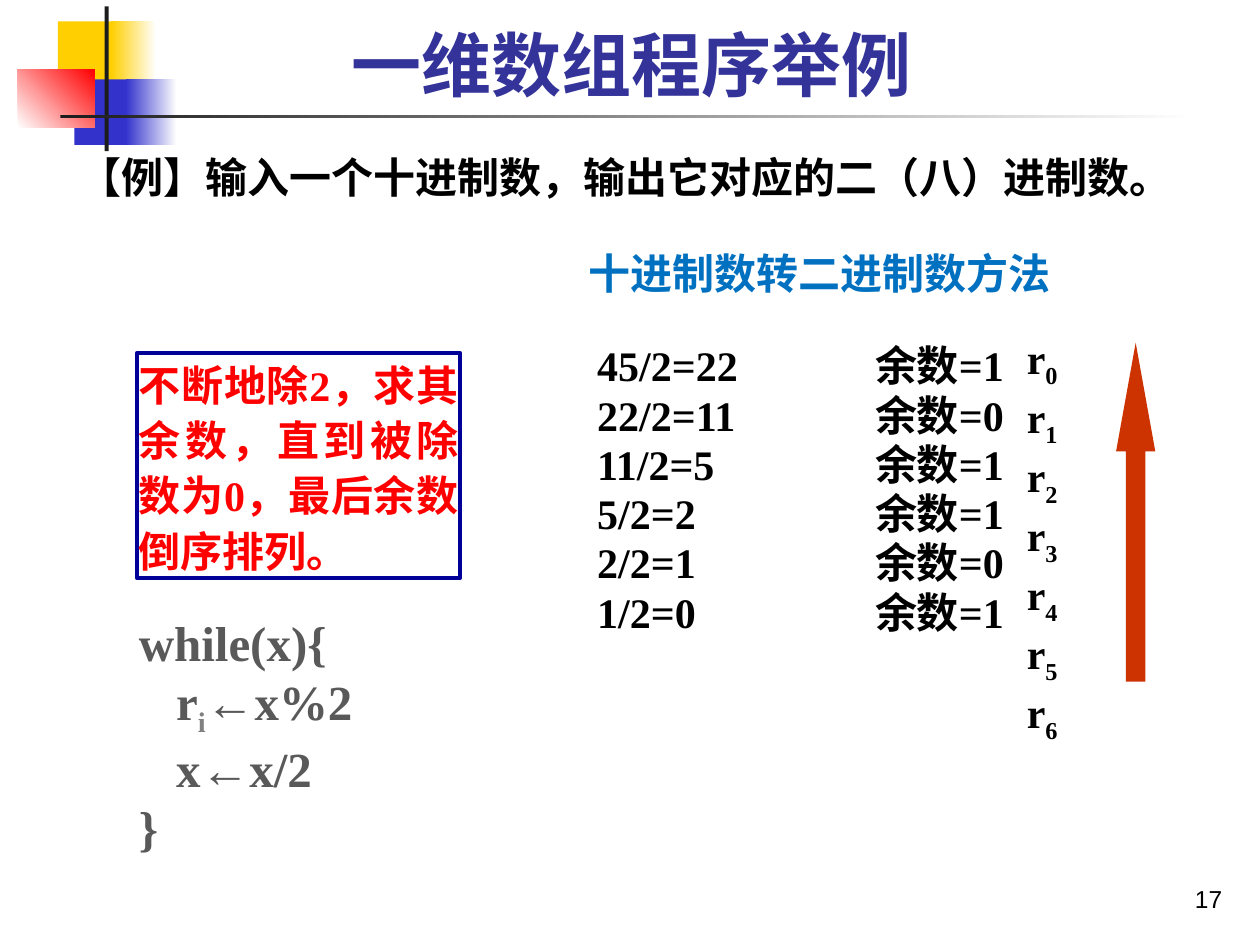
from pptx import Presentation
from pptx.dml.color import RGBColor
from pptx.enum.shapes import MSO_SHAPE as Kind
from pptx.enum.text import MSO_ANCHOR as Anchor, PP_ALIGN as Align
from pptx.oxml.ns import qn
from pptx.util import Cm, Pt
from lxml.etree import SubElement as Sub

SERIF = "Times New Roman"
HAN = "Noto Sans CJK SC"


def rgb(code):
    return RGBColor.from_string(code)


def put(item, form):
    for name, value in form.items():
        setattr(item, name, value)


def shape(slide, box, kind=Kind.RECTANGLE):
    part = slide.shapes.add_shape(kind, *map(Cm, box))
    part.shadow.inherit = False
    part.line.fill.background()
    return part


def block(slide, box, color, kind=Kind.RECTANGLE):
    part = shape(slide, box, kind)
    part.fill.solid()
    part.fill.fore_color.rgb = rgb(color)
    return part


def fade(slide, box, start, end, angle=0):
    """Draw a rectangle with a two-colour gradient."""
    fill = shape(slide, box).fill
    fill.gradient()
    fill.gradient_angle = angle
    for stop, color in zip(fill.gradient_stops, (start, end)):
        stop.color.rgb = rgb(color)


def write(para, text, color, size=24, font=SERIF, bold=True, low=False):
    """Add a run; low makes it a subscript."""
    run = para.add_run()
    run.text = text
    put(run.font, {"size": Pt(size), "name": font, "bold": bold})
    run.font.color.rgb = rgb(color)
    props = run._r.get_or_add_rPr()
    Sub(props, qn("a:ea")).set("typeface", HAN)
    if low:
        props.set("baseline", "-25000")


def frame(slide, box, edge=None, inset=0.03, anchor=Anchor.TOP):
    """Make an empty text area, with a border if edge is given."""
    if edge:
        part = shape(slide, box)
        part.fill.background()
        part.line.color.rgb = rgb(edge)
        part.line.width = Pt(2.25)
    else:
        part = slide.shapes.add_textbox(*map(Cm, box))
    sides = ("left", "right", "top", "bottom")
    area = part.text_frame
    put(area, {f"margin_{side}": Cm(inset) for side in sides})
    put(area, {"word_wrap": True, "vertical_anchor": anchor})
    return area


def lines(area, count, **form):
    """Give count paragraphs that share one format."""
    paras = [area.paragraphs[0]]
    paras += [area.add_paragraph() for _ in range(count - 1)]
    for para in paras:
        put(para, form)
    return paras


def label(slide, box, text, color, form=None, align=Align.LEFT, gap=1.1, **area):
    para, = lines(frame(slide, box, **area), 1, alignment=align, line_spacing=gap)
    write(para, text, color, **(form or {}))


def decor(slide):
    block(slide, (1.17, 0.43, 1.22, 1.32), "FFCF01")
    fade(slide, (2.24, 0.43, 0.91, 1.32), "FFCF01", "FFFFFF")
    block(slide, (1.5, 1.6, 1.17, 1.32), "3333CC")
    fade(slide, (2.54, 1.6, 1.02, 1.32), "3333CC", "FFFFFF")
    fade(slide, (0.36, 1.4, 1.55, 1.17), "FFFFFF", "FF0000", 45)
    block(slide, (2.11, 0.13, 0.08, 2.92), "1C1C1C")
    fade(slide, (1.22, 2.31, 22.86, 0.08), "1C1C1C", "FFFFFF")


def sums(slide, num):
    """List the divisions by two, with remainders at a tab stop."""
    rows = []
    while num:
        rows.append(f"{num}/2={num // 2}\t余数={num % 2}")
        num //= 2
    area = frame(slide, (11.84, 6.93, 9.63, 7.11), inset=0.2)
    form = {"alignment": Align.LEFT, "line_spacing": 0.7, "space_before": Pt(8)}
    for para, row in zip(lines(area, len(rows), **form), rows):
        tabs = Sub(para._p.get_or_add_pPr(), qn("a:tabLst"))
        Sub(tabs, qn("a:tab"), pos=str(Cm(5.6)), algn="l")
        write(para, row, "000000")


def digits(slide, count):
    area = frame(slide, (20.5, 6.5, 1.75, 7.65), inset=0.2)
    for i, para in enumerate(lines(area, count, space_before=Pt(1))):
        write(para, "r", "000000")
        write(para, str(i), "000000", low=True)


def code(slide):
    area = frame(slide, (2.77, 12.32, 6.5, 4.83), edge="FFFFFF")
    head, rest, half, tail = lines(area, 4, alignment=Align.JUSTIFY)
    for para in (rest, half):
        para._p.get_or_add_pPr().set("marL", str(Cm(0.75)))
    dark = "595959"
    write(head, "while(x){", dark, 28)
    write(rest, "r", dark, 28)
    write(rest, "i", "808080", 28, low=True)
    write(rest, "←x%2", dark, 28)
    write(half, "x←x/2", dark, 28)
    write(tail, "}", dark, 28)


def main():
    deck = Presentation()
    put(deck, {"slide_width": Cm(25.4), "slide_height": Cm(19.05)})
    slide = deck.slides.add_slide(deck.slide_layouts[6])
    decor(slide)
    label(slide, (1.91, 0.43, 21.64, 1.83), "一维数组程序举例", "333399",
          {"size": 40, "font": HAN}, Align.CENTER, 1, inset=0.13,
          anchor=Anchor.BOTTOM)
    label(slide, (19.56, 17.35, 5.28, 1.27), "17", "000000",
          {"size": 14, "font": "Arial", "bold": False}, Align.RIGHT, 1,
          inset=0.2, anchor=Anchor.BOTTOM)
    sums(slide, 45)
    arrow = block(slide, (22.5, 6.91, 0.79, 6.83), "CC3300", Kind.UP_ARROW)
    arrow.adjustments[1] = 2.77
    label(slide, (2.77, 7.11, 6.5, 4.55),
          "不断地除2，求其余数，直到被除数为0，最后余数倒序排列。", "FF0000",
          align=Align.JUSTIFY, edge="000099")
    label(slide, (1.57, 2.92, 21.79, 1.17),
          "【例】输入一个十进制数，输出它对应的二（八）进制数。", "000000")
    label(slide, (11.84, 4.85, 10.97, 1.09), "十进制数转二进制数方法", "0070C0")
    digits(slide, 7)
    code(slide)
    deck.save("out.pptx")


if __name__ == "__main__":
    main()
